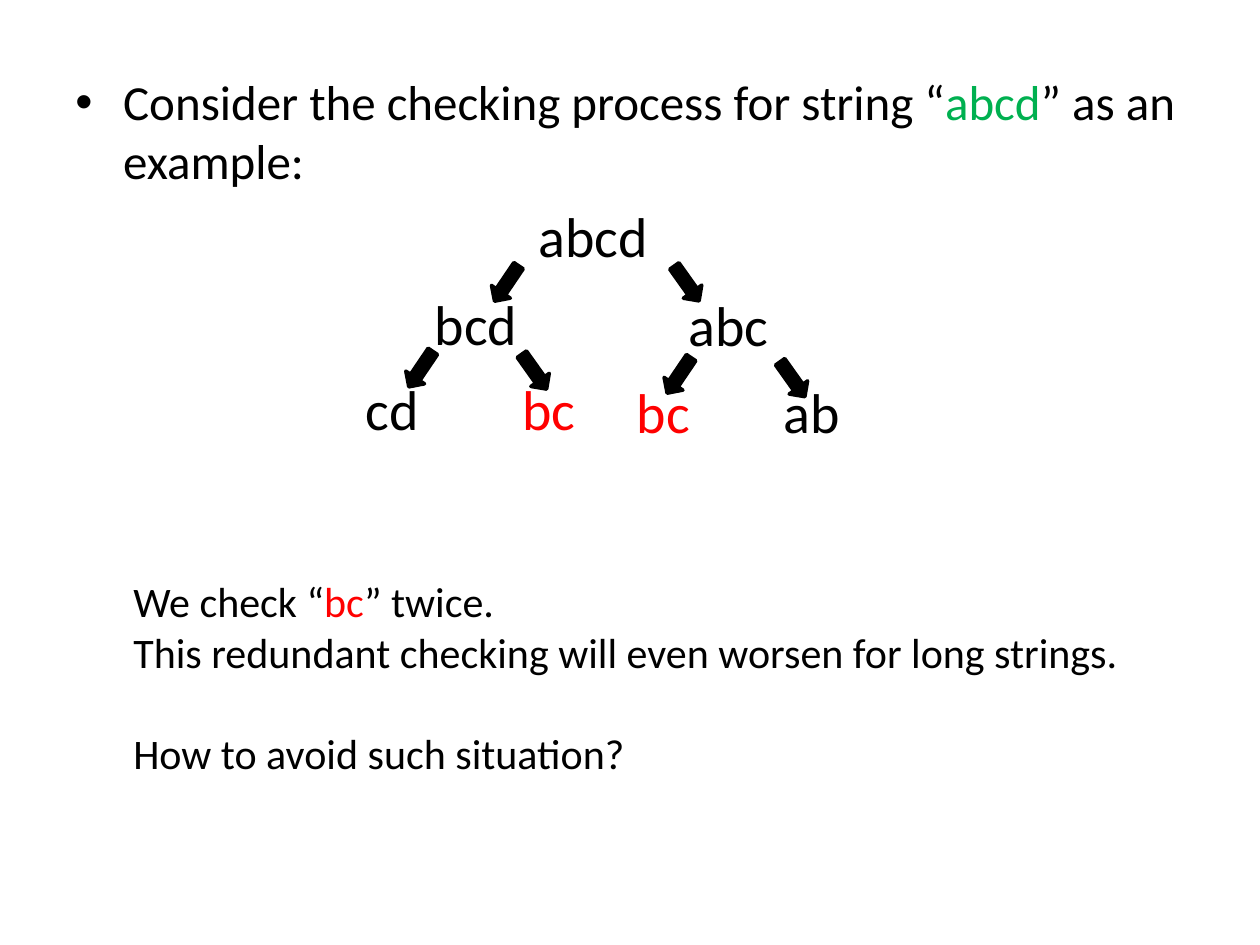
"""Build a slide showing the redundant substring checks for the string abcd."""
from lxml.etree import SubElement
from pptx import Presentation
from pptx.dml.color import RGBColor as Rgb
from pptx.enum.shapes import MSO_SHAPE as Preset
from pptx.enum.text import MSO_AUTO_SIZE as AutoSize, PP_ALIGN as Align
from pptx.oxml.ns import qn
from pptx.util import Inches, Pt

COLORS = {"black": "000000", "green": "00B050", "red": "FF0000"}

deck = Presentation()
deck.slide_width, deck.slide_height = Inches(10), Inches(7.5)
page = deck.slides.add_slide(deck.slide_layouts[6])
column, row = deck.slide_width / 100, deck.slide_height / 75


def place(left, top, width, height):
    return [round(n) for n in (left * column, top * row, width * column, height * row)]


def add_text(paragraphs, area, size, align=Align.LEFT, wrap=False):
    box = page.shapes.add_textbox(*place(*area))
    frame = box.text_frame
    frame.word_wrap = wrap
    frame.auto_size = AutoSize.NONE if wrap else AutoSize.SHAPE_TO_FIT_TEXT
    for index, pieces in enumerate(paragraphs):
        para = frame.paragraphs[0] if index == 0 else frame.add_paragraph()
        para.alignment = align
        for text, color in pieces:
            span = para.add_run()
            span.text = text
            span.font.name, span.font.size = "Calibri", Pt(size)
            span.font.color.rgb = Rgb.from_string(COLORS[color])
    return frame.paragraphs


intro = add_text(
    [[("Consider the checking process for string “", "black"), ("abcd", "green"),
      ("” as an example:", "black")]],
    (5, 5.2, 90, 10.2), size=28, wrap=True)
bullet = intro[0]._p.get_or_add_pPr()
bullet.set("marL", str(Inches(0.38)))
bullet.set("indent", str(Inches(-0.38)))
SubElement(bullet, qn("a:buFont"), typeface="Arial")
SubElement(bullet, qn("a:buChar"), char="•")

tree_nodes = [
    ("abcd", "black", 41.7, 15.5, 10.8),
    ("bcd", "black", 33.5, 22.5, 8.6),
    ("abc", "black", 53.6, 22.6, 8.4),
    ("cd", "black", 28, 29.2, 6.3),
    ("bc", "red", 40.4, 29.2, 6.3),
    ("bc", "red", 49.5, 29.5, 6.3),
    ("ab", "black", 61.2, 29.5, 6.5),
]
for text, color, left, top, width in tree_nodes:
    add_text([[(text, color)]], (left, top, width, 6.4), size=32, align=Align.CENTER)

remarks = add_text(
    [[("We check “", "black"), ("bc", "red"), ("” twice.", "black")],
     [("This redundant checking will even worsen for long strings.", "black")],
     [("How to avoid such situation?", "black")]],
    (9.6, 45.2, 80.9, 17.2), size=24)
remarks[2].space_before = Pt(29)

branch_pairs = [
    ((39.3, 20.8), (53.6, 20.8)),
    ((32.5, 27.6), (41.5, 27.8)),
    ((53, 28.1), (62, 28.4)),
]
for pair in branch_pairs:
    for (left, top), angle in zip(pair, (34.1, 324.6)):
        arrow = page.shapes.add_shape(Preset.DOWN_ARROW, *place(left, top, 1.8, 3.4))
        arrow.rotation = angle
        arrow.shadow.inherit = False
        arrow.fill.solid()
        arrow.fill.fore_color.rgb = Rgb.from_string(COLORS["black"])
        arrow.line.color.rgb = Rgb.from_string(COLORS["black"])
        arrow.line.width = Pt(2)

deck.save("out.pptx")
